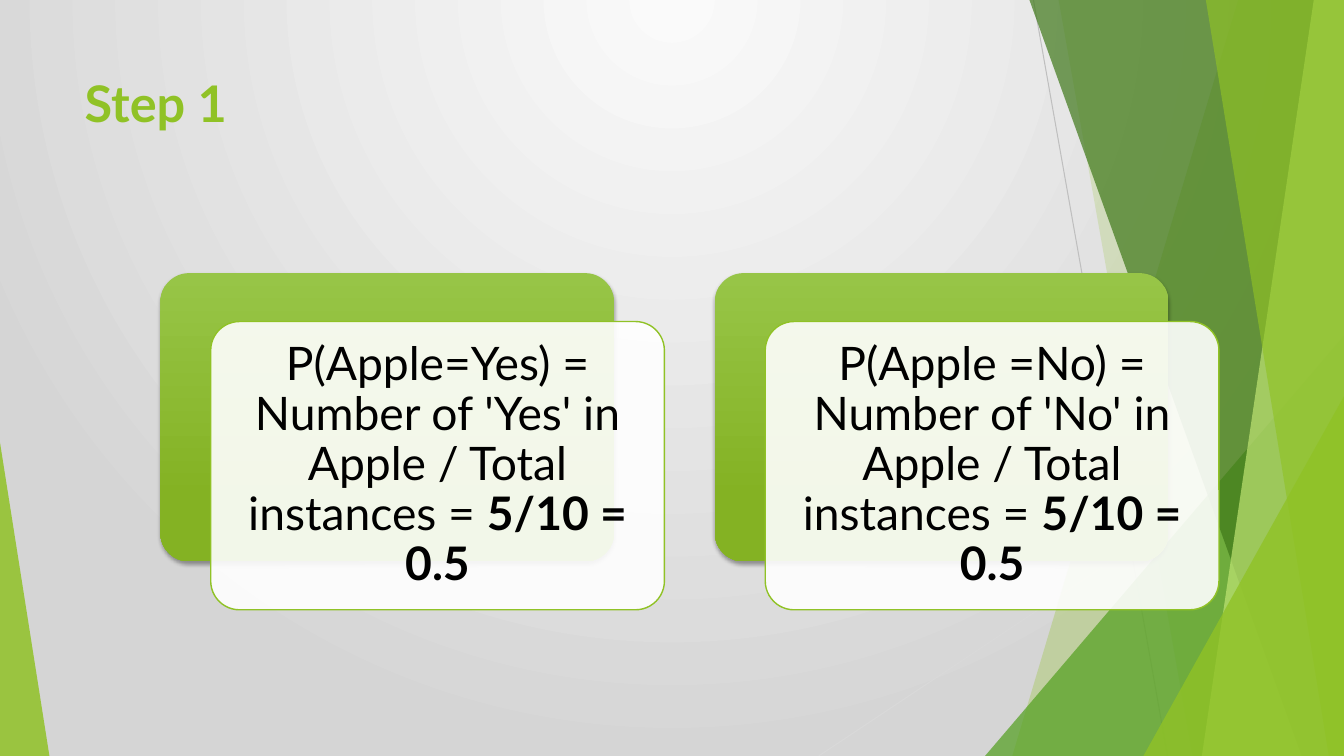
"""Build the "Step 1" slide: two probability cards on a green faceted background."""
from lxml.etree import SubElement
from pptx import Presentation
from pptx.dml.color import RGBColor
from pptx.enum.shapes import MSO_CONNECTOR, MSO_SHAPE
from pptx.enum.text import MSO_ANCHOR, PP_ALIGN
from pptx.oxml import parse_xml
from pptx.oxml.ns import nsdecls, qn
from pptx.util import Inches, Pt

GREEN = RGBColor(0x90, 0xC2, 0x26)
LEAF = RGBColor(0x54, 0xA0, 0x21)
FOREST = RGBColor(0x3F, 0x78, 0x19)
LIME = RGBColor(0xC0, 0xE4, 0x74)
CARD_TOP = RGBColor(0x97, 0xC5, 0x47)
CARD_BOTTOM = RGBColor(0x84, 0xB2, 0x23)
BG_LIGHT = RGBColor(0xFA, 0xFA, 0xFA)
BG_DARK = RGBColor(0xD5, 0xD5, 0xD5)
GRAY = RGBColor(0xBF, 0xBF, 0xBF)
PALE_GRAY = RGBColor(0xD9, 0xD9, 0xD9)
WHITE = RGBColor(0xFF, 0xFF, 0xFF)
BLACK = RGBColor(0, 0, 0)
FONT = "Lato"
W, H = 13.33, 7.5


def set_gradient(fill, *stops):
    fill.gradient()
    for stop, (position, color) in zip(fill.gradient_stops, stops):
        stop.position = position
        stop.color.rgb = color


def set_solid(sp, color, alpha):
    sp.shadow.inherit = False
    sp.fill.solid()
    sp.fill.fore_color.rgb = color
    clr = sp._element.spPr.find(qn("a:solidFill"))[0]
    SubElement(clr, qn("a:alpha")).set("val", str(alpha * 1000))
    sp.line.fill.background()


prs = Presentation()
prs.slide_width, prs.slide_height = Inches(W), Inches(H)
s = prs.slides.add_slide(prs.slide_layouts[5])

set_gradient(s.background.fill, (0, BG_LIGHT), (1, BG_DARK))
lin = s.element.find(".//" + qn("a:lin"))
lin.getparent().replace(lin, parse_xml(
    f'<a:path {nsdecls("a")} path="circle">'
    '<a:fillToRect l="43000" t="0" r="43000" b="100000"/></a:path>'))

for x1, y1, x2, y2, color in [
    (10.25, 0, 11.58, H, GRAY),
    (W, 4.03, 8.12, H, PALE_GRAY),
]:
    line = s.shapes.add_connector(
        MSO_CONNECTOR.STRAIGHT, Inches(x1), Inches(y1), Inches(x2), Inches(y2))
    line.line.color.rgb = color
    line.line.width = Pt(0.75)
    SubElement(line._element.spPr, qn("a:effectLst"))

facets = [
    ("band", 12.28, 10.04, GREEN, 30),
    ("band", 10.5, 11.83, GREEN, 20),
    ("triangle", 9.77, 3.33, 3.56, 1, LEAF, 72),
    ("band", 10.21, 12.91, FOREST, 70),
    ("band", 13.03, 11.92, LIME, 70),
    ("band", 11.96, 13.18, GREEN, 65),
    ("triangle", 11.34, 3.93, 1.99, 1, GREEN, 80),
    ("triangle", 0, 4.39, 0.49, 0, GREEN, 85),
]
for kind, *geometry, color, alpha in facets:
    if kind == "band":
        top_x, bottom_x = geometry
        fb = s.shapes.build_freeform(Inches(top_x), 0)
        fb.add_line_segments(
            [(Inches(x), Inches(y)) for x, y in [(W, 0), (W, H), (bottom_x, H)]])
        sp = fb.convert_to_shape()
    else:
        x, y, width, apex = geometry
        sp = s.shapes.add_shape(
            MSO_SHAPE.ISOSCELES_TRIANGLE,
            Inches(x), Inches(y), Inches(width), Inches(H - y))
        sp.adjustments[0] = apex
    set_solid(sp, color, alpha)

title = s.shapes.title
title.left, title.top = Inches(0.74), Inches(0.67)
title.width, title.height = Inches(9.4), Inches(1.44)
tf = title.text_frame
tf.vertical_anchor = MSO_ANCHOR.TOP
p = tf.paragraphs[0]
p.alignment = PP_ALIGN.LEFT
r = p.add_run()
r.text = "Step 1"
r.font.name, r.font.size, r.font.bold = FONT, Pt(36), True
r.font.color.rgb = GREEN

cards = [
    ("P(Apple=Yes) = Number of 'Yes' in Apple / Total instances = ", "5/10 = 0.5"),
    ("P(Apple =No) = Number of 'No' in Apple / Total instances = ", "5/10 = 0.5"),
]
for i, (formula, result) in enumerate(cards):
    x, y = 1.59 + 5.5 * i, 2.71
    back, card = [
        s.shapes.add_shape(MSO_SHAPE.ROUNDED_RECTANGLE, Inches(x + dx),
                           Inches(y + dy), Inches(4.5), Inches(2.86))
        for dx, dy in [(0, 0), (0.5, 0.48)]
    ]
    back.adjustments[0] = card.adjustments[0] = 0.1

    set_gradient(back.fill, (0, CARD_TOP), (0.78, CARD_BOTTOM))
    back.fill.gradient_angle = 270
    back.line.fill.background()
    back._element.spPr.append(parse_xml(
        f'<a:effectLst {nsdecls("a")}><a:outerShdw blurRad="{Pt(3)}" dist="{Pt(2)}" '
        'dir="5400000" rotWithShape="0"><a:srgbClr val="000000">'
        '<a:alpha val="35000"/></a:srgbClr></a:outerShdw></a:effectLst>'))

    set_solid(card, WHITE, 90)
    card.line.color.rgb = GREEN
    card.line.width = Pt(1)
    tf = card.text_frame
    tf.word_wrap = True
    tf.vertical_anchor = MSO_ANCHOR.MIDDLE
    tf.margin_left = tf.margin_right = Inches(0.14)
    tf.margin_top = tf.margin_bottom = Inches(0.14)
    p = tf.paragraphs[0]
    p.alignment = PP_ALIGN.CENTER
    p.line_spacing = 0.9
    p.space_after = Pt(11.5)
    for text, bold in [(formula, False), (result, True)]:
        r = p.add_run()
        r.text = text
        r.font.name, r.font.size, r.font.bold = FONT, Pt(33), bold
        r.font.color.rgb = BLACK

prs.save("out.pptx")
